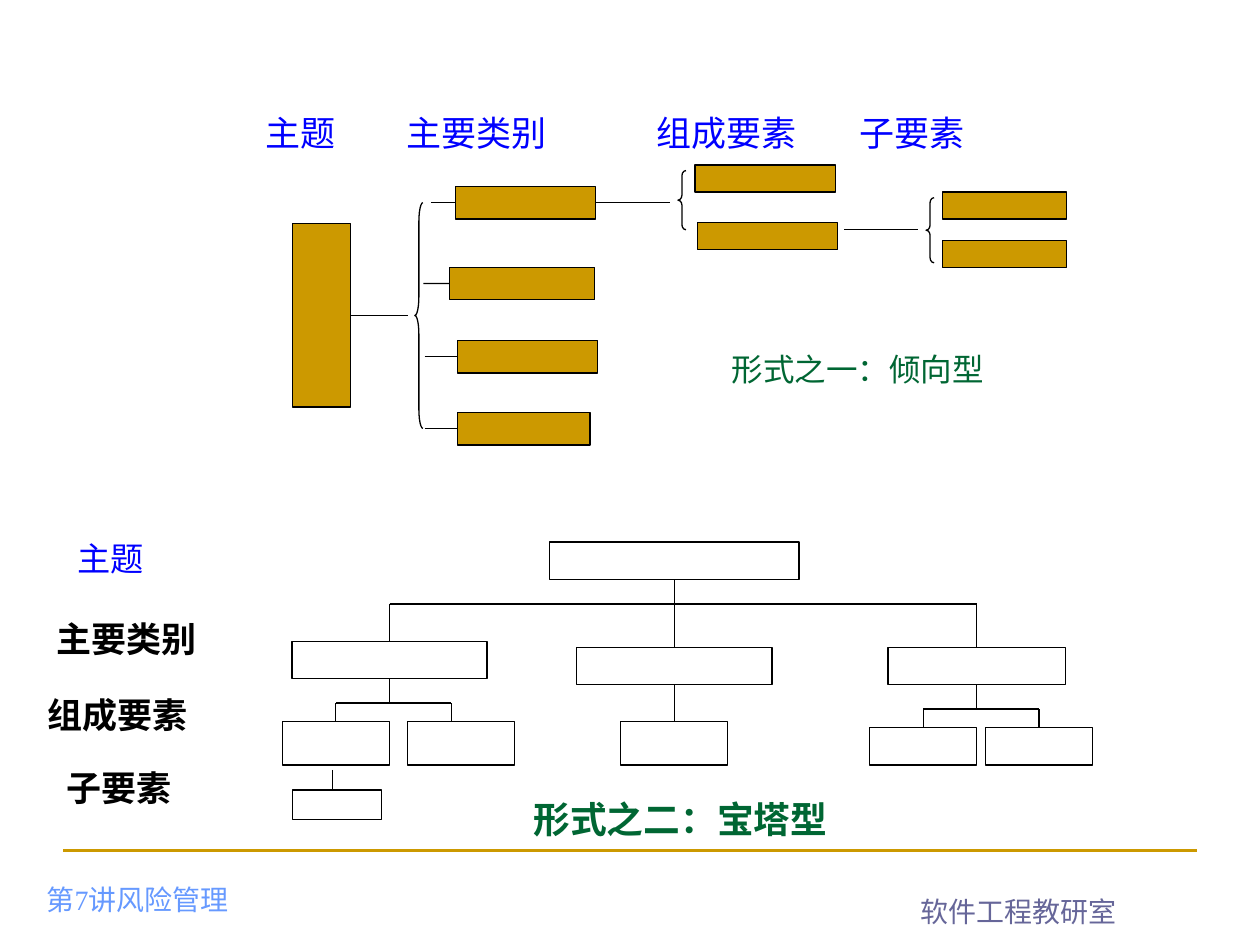
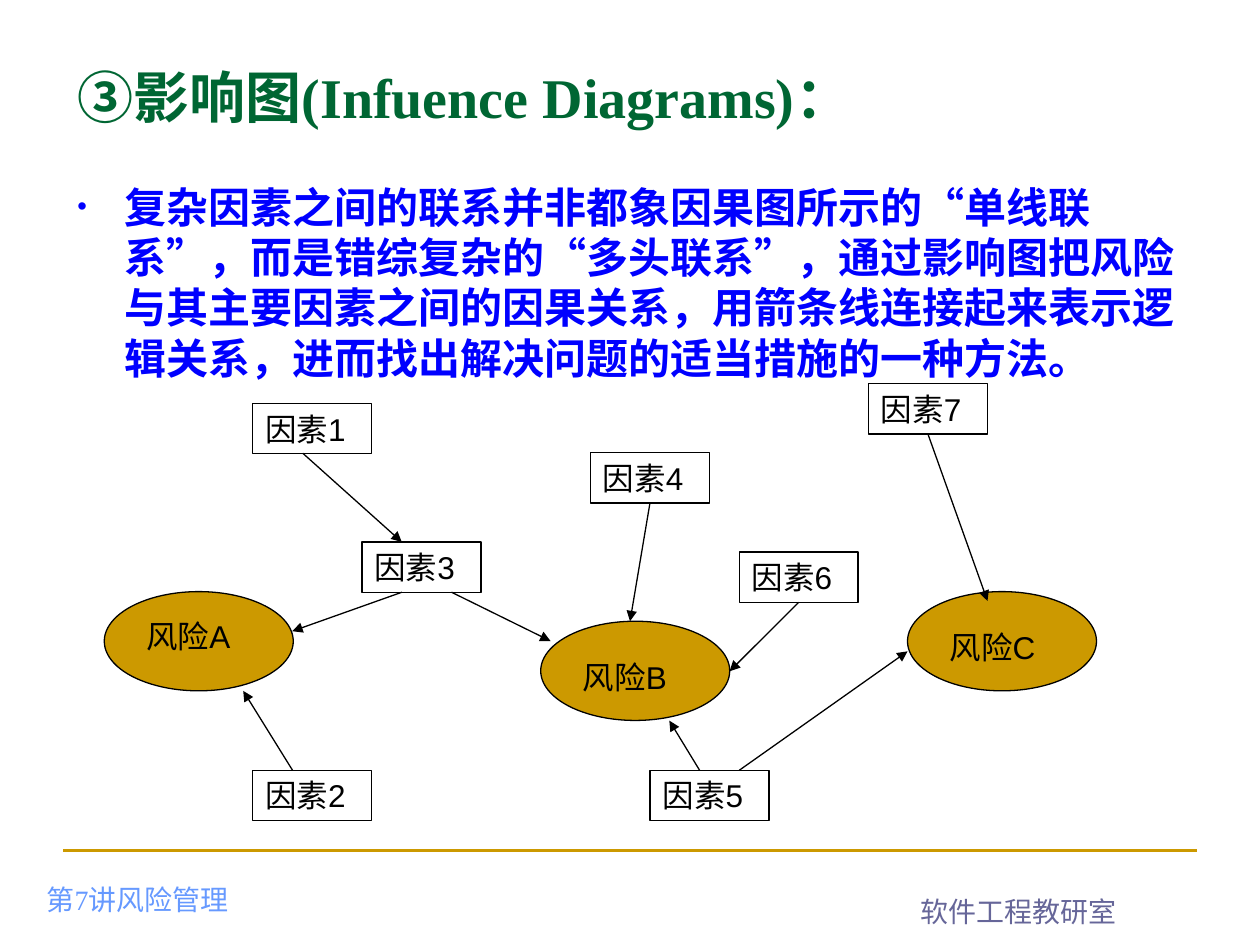
from lxml import etree
from pptx import Presentation
from pptx.dml.color import RGBColor
from pptx.enum.shapes import MSO_CONNECTOR as Connector, MSO_SHAPE as Preset
from pptx.enum.text import MSO_ANCHOR as Anchor, PP_ALIGN as Align
from pptx.oxml.ns import qn
from pptx.util import Pt

COLORS = {
    "gold": "CC9900", "green": "006633", "blue": "0000FF", "black": "000000",
    "footer": "6699FF", "office": "666699",
}
SERIF, SANS, CJK = "Times New Roman", "Arial", "Noto Sans CJK SC"


def color(name):
    return RGBColor.from_string(COLORS[name])


def style(span, size, font, tint, bold=False):
    span.font.size = Pt(size)
    span.font.name = font
    span.font.bold = bold
    span.font.color.rgb = color(tint)


def add_text(page, area, text, size, font, tint, bold=False):
    box = page.shapes.add_textbox(*map(Pt, area))
    box.text_frame.word_wrap = True
    para = box.text_frame.paragraphs[0]
    para.text = text
    style(para.runs[0], size, font, tint, bold)
    return box


def add_block(page, area, fill=None, preset=Preset.RECTANGLE):
    box = page.shapes.add_shape(preset, *map(Pt, area))
    box.shadow.inherit = False
    if fill:
        box.fill.solid()
        box.fill.fore_color.rgb = color(fill)
    else:
        box.fill.background()
    box.line.color.rgb = color("black")
    box.line.width = Pt(0.75)
    return box


def add_brace(page, area, curve):
    brace = add_block(page, area, preset=Preset.LEFT_BRACE)
    brace.adjustments[0] = curve


def add_link(page, start, end, tint="black", width=0.75, arrow=False):
    """Each end is a point (x, y) or a pair (box, side number)."""
    points = [(0, 0) if hasattr(stop[0], "shape_id") else stop for stop in (start, end)]
    link = page.shapes.add_connector(
        Connector.STRAIGHT, *(Pt(value) for point in points for value in point))
    if hasattr(start[0], "shape_id"):
        link.begin_connect(*start)
    if hasattr(end[0], "shape_id"):
        link.end_connect(*end)
    link.line.color.rgb = color(tint)
    link.line.width = Pt(width)
    properties = link._element.spPr
    if arrow:
        etree.SubElement(properties.find(qn("a:ln")), qn("a:tailEnd"), type="triangle")
    etree.SubElement(properties, qn("a:effectLst"))


def mover(left, top):
    """Return a function that shifts points and areas into a region."""
    return lambda x, y, *size: (left + x, top + y, *size)


def add_footer(page):
    add_link(page, (36, 486), (684, 486), "gold", 1.5)
    office = add_text(page, (468, 498.2, 228, 36), "软件工程教研室", 16, SERIF, "office")
    office.text_frame.paragraphs[0].alignment = Align.CENTER
    lecture = add_text(page, (19.6, 491, 295, 36), "第7讲风险管理", 16, SERIF, "footer")
    for box in (office, lecture):
        box.text_frame.vertical_anchor = Anchor.BOTTOM


def add_sideways_tree(page, left, top):
    at = mover(left, top)
    # Column heads, spaced by tab stops
    heads = add_text(page, at(0.7, 0, 510.5, 39.6),
                     "主题\t主要类别\t组成要素\t子要素", 20, SANS, "blue")
    para = heads.text_frame.paragraphs[0]
    stops = etree.SubElement(para._p.get_or_add_pPr(), qn("a:tabLst"))
    for position in (80.6, 223.2, 339.5):
        etree.SubElement(stops, qn("a:tab"), pos=str(Pt(position)), algn="l")
    add_text(page, at(267, 136.6, 235.4, 33), "形式之一：倾向型", 18, SERIF, "green")

    # Theme and its categories
    theme = add_block(page, at(23.1, 67.6, 33.2, 105), "gold")
    add_link(page, (theme, 3), at(89.3, 120.1))
    add_brace(page, at(93.1, 55.8, 4.6, 129), 2.33)
    categories = []
    for x, y, width, stub in ((116.2, 46.6, 80, 102.2), (112.8, 92.7, 83, 98),
                              (117.4, 134.6, 80.2, 98.6), (117.4, 175.7, 75.8, 98.6)):
        category = add_block(page, at(x, y, width, 18.6), "gold")
        add_link(page, at(stub, y + 9.3), (category, 1))
        categories.append(category)

    # Components and sub-components
    for area in ((253.2, 34.3, 80.2, 15.4), (254.5, 67.3, 80.2, 15.4),
                 (394.6, 49.7, 70.8, 15.4), (394.6, 77.5, 70.8, 15.4)):
        add_block(page, at(*area), "gold")
    add_link(page, (categories[0], 3), at(239, 55.9))
    add_link(page, at(338.4, 71.3), at(380.6, 71.3))
    add_brace(page, at(243.4, 37.5, 4.6, 33.8), 0.62)
    add_brace(page, at(385.2, 53, 4.6, 37.2), 0.62)


def add_pagoda_tree(page, left, top):
    at = mover(left, top)
    # Level names and caption
    add_text(page, at(17.1, 3.8, 85, 39.6), "主题", 19, SANS, "blue")
    for x, y, width, name in ((5.4, 49.2, 136, "主要类别"), (0.2, 92.7, 110, "组成要素"),
                              (11, 134.2, 90.7, "子要素")):
        add_text(page, at(x, y, width, 31.7), name, 20, SANS, "black", True)
    add_text(page, at(277.7, 151.7, 209.5, 32.4), "形式之二：宝塔型", 21, SERIF, "green", True)

    # Root and the line over the categories
    bus, child_width = 45.1, 61.2
    root = add_block(page, at(294, 9.8, 142.6, 21.2))
    add_link(page, (root, 2), at(365.3, bus))
    add_link(page, at(202.6, bus), at(538.2, bus))

    # Category: middle, top, width; children: top, height, (left, where the line drops)
    middle = child_width / 2
    branches = (
        (202.6, 66.4, 111.6, 112.4, 24.8, ((141.3, middle), (212.8, 25.2))),
        (365.3, 70, 111.6, 112.4, 24.8, ((334.7, middle),)),
        (538.2, 70, 101.6, 115.8, 21.4, ((477, middle), (543.2, middle))),
    )
    for center, y, width, child_top, child_height, children in branches:
        category = add_block(page, at(center - width / 2, y, width, 21.2))
        add_link(page, at(center, bus), (category, 0))
        fork = child_top - 10.6
        drops = [x + offset for x, offset in children]
        boxes = [add_block(page, at(x, child_top, child_width, child_height))
                 for x, offset in children]
        if len(boxes) == 1:
            add_link(page, (category, 2), (boxes[0], 0))
            continue
        add_link(page, (category, 2), at(center, fork))
        add_link(page, at(drops[0], fork), at(drops[-1], fork))
        for box, drop, (x, offset) in zip(boxes, drops, children):
            add_link(page, at(drop, fork), (box, 0) if offset == middle else at(drop, child_top))

    # Sub-component
    add_block(page, at(147, 151.4, 51, 17))
    add_link(page, at(170, 140), at(170, 151.4))


def add_title(page, area):
    box = add_text(page, area, "③", 32, CJK, "green", True)
    box.text_frame.vertical_anchor = Anchor.MIDDLE
    span = box.text_frame.paragraphs[0].add_run()
    span.text = "影响图(Infuence Diagrams)："
    style(span, 32, SERIF, "green", True)


def add_body(page, area):
    parts = ("复杂因素之间的联系并非都象因果图所示的", "“", "单线联系", "”", "，而是错综复杂的",
             "“", "多头联系", "”",
             "，通过影响图把风险与其主要因素之间的因果关系，用箭条线连接起来表示逻辑关系，"
             "进而找出解决问题的适当措施的一种方法。")
    box = add_text(page, area, parts[0], 24, CJK, "blue", True)
    para = box.text_frame.paragraphs[0]
    para.line_spacing = Pt(28.8)
    for part in parts[1:]:
        span = para.add_run()
        span.text = part
        style(span, 24, SANS if part in "“”" else CJK, "blue", True)
    # Bullet, and punctuation kept inside the margin
    properties = para._p.get_or_add_pPr()
    properties.set("marL", str(Pt(27)))
    properties.set("indent", str(-Pt(27)))
    properties.set("hangingPunct", "0")
    etree.SubElement(properties, qn("a:buSzPct"), val="65000")
    etree.SubElement(properties, qn("a:buFont"), typeface=SANS)
    etree.SubElement(properties, qn("a:buChar"), char="•")


def add_influence_diagram(page, left, top):
    at = mover(left, top)
    # Risks
    for name, x, y, label_drop in (("A", -0.4, 123.1, 11.2), ("B", 249, 140, 17.6),
                                   ("C", 458.6, 123.1, 17.2)):
        add_block(page, at(x, y, 108, 56.7), "gold", Preset.OVAL)
        add_text(page, at(x + 17, y + label_drop, 90.7, 28.8), f"风险{name}", 18, SANS, "black")

    # Factors, numbered from 1
    places = ((84.4, 15.6), (84.4, 225.2), (146.9, 94.7), (277.4, 43.7),
              (311.5, 225.2), (362.4, 100.4), (436.3, 4.3))
    factors = {}
    for number, (x, y) in enumerate(places, 1):
        factors[number] = add_block(page, at(x, y, 68, 28.8))
        frame = factors[number].text_frame
        frame.word_wrap = True
        frame.vertical_anchor = Anchor.TOP
        para = frame.paragraphs[0]
        para.text = f"因素{number}"
        para.alignment = Align.LEFT
        style(para.runs[0], 18, SANS, "black")

    # Arrows
    for number, end in ((4, (300, 140)), (6, (356.9, 168.6)), (7, (504.3, 128.4))):
        add_link(page, (factors[number], 2), at(*end), arrow=True)
    for start, end in (((107.2, 225.2), (79, 179.8)), ((113, 44), (169.6, 94.7)),
                       ((169.7, 123.4), (107, 145.7)), ((198, 123.4), (254.6, 151.3)),
                       ((339.8, 225.2), (322.5, 196.8)), ((362.4, 225.2), (458.6, 157.2))):
        add_link(page, at(*start), at(*end), arrow=True)


def main():
    deck = Presentation()
    deck.slide_width, deck.slide_height = Pt(720), Pt(540)
    trees, influence = (deck.slides.add_slide(deck.slide_layouts[6]) for _ in range(2))
    for page in (trees, influence):
        add_footer(page)
    add_sideways_tree(trees, 144, 60)
    add_pagoda_tree(trees, 20, 300)
    add_title(influence, (37.1, 30, 493.2, 49.7))
    add_body(influence, (37.1, 100, 648, 357))
    add_influence_diagram(influence, 60, 215)
    deck.save("out.pptx")


if __name__ == "__main__":
    main()
